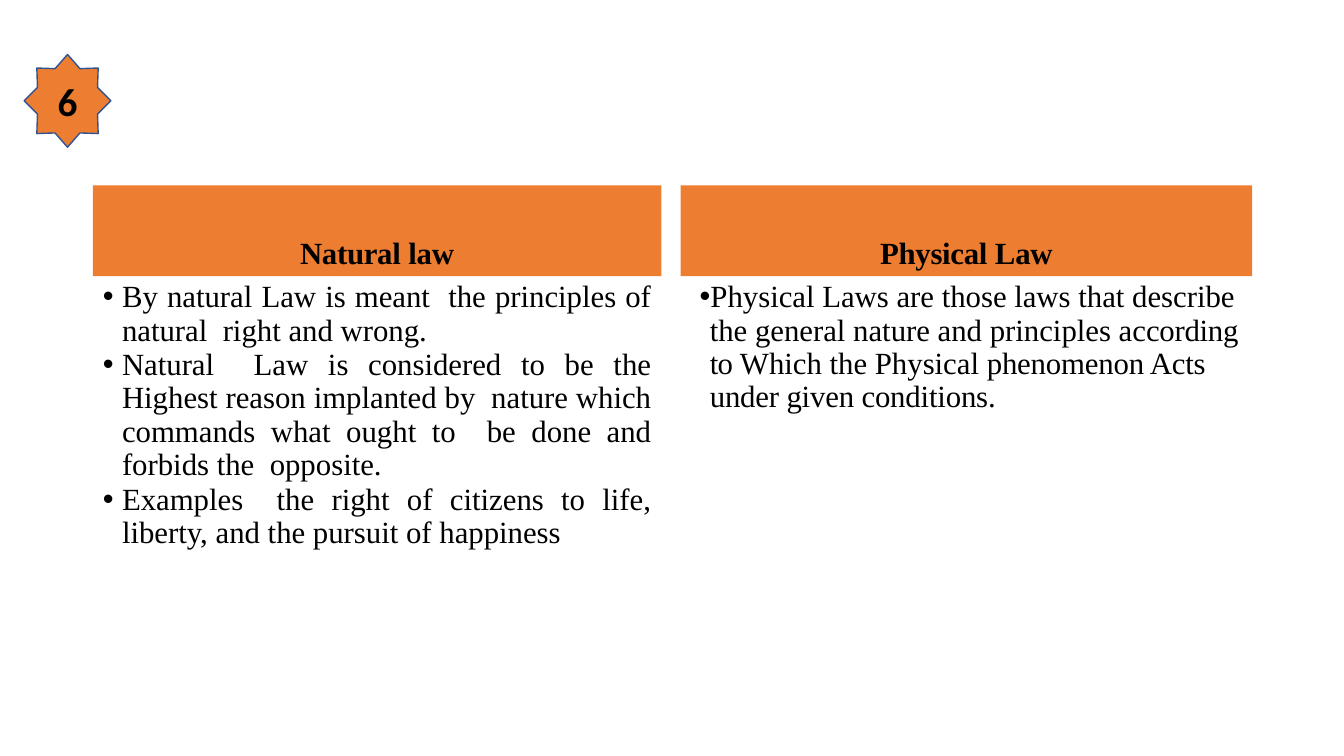
from lxml.etree import SubElement
from pptx import Presentation
from pptx.dml.color import RGBColor
from pptx.enum.shapes import MSO_SHAPE
from pptx.enum.text import MSO_ANCHOR, MSO_AUTO_SIZE, PP_ALIGN
from pptx.oxml.ns import qn
from pptx.util import Inches, Pt

ORANGE, OUTLINE, BLACK, GREY = "ED7D31", "325491", "000000", "202124"
SERIF = {"name": "Times New Roman", "size": Pt(22), "bold": False}
HEADING = {**SERIF, "bold": True}
SMALL = {"name": "Arial", "size": Pt(16), "bold": False}
BADGE = {"name": "Calibri", "size": Pt(28), "bold": True}

# Each span is (text, letter spacing in points, font, colour)
NATURAL_HEADING = [("Natural ", -0.2, HEADING, BLACK), ("law", -0.1, HEADING, BLACK)]
NATURAL_POINTS = [
    [("By natural Law is meant  the principles of natural  right and wrong. ",
      0, SERIF, BLACK)],
    [("Natural  Law is considered to be the Highest reason implanted by  nature "
      "which commands what ought to  be done and forbids the  opposite.",
      0, SERIF, BLACK)],
    [("Examples ", 0, SERIF, BLACK), (" ", 0, SMALL, GREY),
     ("the right of citizens to life, liberty, and the pursuit of happiness",
      0, SERIF, BLACK)],
]
PHYSICAL_HEADING = [("Physical ", -0.2, HEADING, BLACK), ("Law", -0.1, HEADING, BLACK)]
PHYSICAL_POINTS = [
    [("Physical Laws are those laws that describe the general nature and "
      "principles ac", 0, SERIF, BLACK),
     ("cording ", -0.2, SERIF, BLACK),
     ("to ", -0.5, SERIF, BLACK),
     ("Which the Physical ", 0, SERIF, BLACK),
     ("phenomenon Acts under given conditions.", -0.1, SERIF, BLACK)],
]


def color(value):
    return RGBColor.from_string(value)


def place(shape, left, top, width, height):
    for name, value in {"left": left, "top": top,
                        "width": width, "height": height}.items():
        setattr(shape, name, Inches(value))


def paint(shape, value):
    shape.fill.solid()
    shape.fill.fore_color.rgb = color(value)


def write_spans(para, spans):
    for text, spacing, font, value in spans:
        span = para.add_run()
        span.text = text
        for name, setting in font.items():
            setattr(span.font, name, setting)
        span.font.color.rgb = color(value)
        if spacing:
            span.font._element.set("spc", str(round(spacing * 100)))


def set_frame(box, anchor):
    frame = box.text_frame
    settings = {"word_wrap": True, "auto_size": MSO_AUTO_SIZE.NONE,
                "vertical_anchor": anchor,
                "margin_left": Inches(0.1), "margin_right": Inches(0.1),
                "margin_top": Inches(0.05), "margin_bottom": Inches(0.05)}
    for name, value in settings.items():
        setattr(frame, name, value)
    return frame


def set_paragraph(para, align, before):
    for name, value in {"alignment": align, "line_spacing": 0.9,
                        "space_before": Pt(before), "space_after": Pt(0)}.items():
        setattr(para, name, value)


def set_bullet(para, margin, hanging):
    properties = para._p.get_or_add_pPr()
    properties.set("marL", str(Inches(margin)))
    properties.set("indent", str(-Inches(hanging)))
    SubElement(properties, qn("a:buFont"), typeface="Arial")
    SubElement(properties, qn("a:buChar"), char="•")


# One column: orange heading with its bullet list below
def build_column(heading, body, box, title, points, align, hanging):
    left, top, width, height = box
    heading_height = 0.9
    place(heading, left, top, width, heading_height)
    paint(heading, ORANGE)
    para = set_frame(heading, MSO_ANCHOR.BOTTOM).paragraphs[0]
    set_paragraph(para, PP_ALIGN.CENTER, 10)
    write_spans(para, title)

    place(body, left, top + heading_height, width, height - heading_height)
    frame = set_frame(body, MSO_ANCHOR.TOP)
    for index, spans in enumerate(points):
        para = frame.add_paragraph() if index else frame.paragraphs[0]
        set_paragraph(para, align, 1)
        set_bullet(para, 0.19, hanging)
        write_spans(para, spans)


# Numbered star
def build_badge(page, box, number):
    star = page.shapes.add_shape(MSO_SHAPE.STAR_8_POINT, *map(Inches, box))
    star.shadow.inherit = False
    paint(star, ORANGE)
    star.line.color.rgb = color(OUTLINE)
    star.line.width = Pt(1)
    para = set_frame(star, MSO_ANCHOR.MIDDLE).paragraphs[0]
    para.alignment = PP_ALIGN.CENTER
    write_spans(para, [(number, 0, BADGE, BLACK)])


def main():
    deck = Presentation()
    deck.slide_width, deck.slide_height = Inches(13.33), Inches(7.5)
    page = deck.slides.add_slide(deck.slide_layouts[4])
    title, *slots = page.placeholders
    title._element.getparent().remove(title._element)

    build_column(*slots[:2], (0.92, 1.84, 5.64, 4.93), NATURAL_HEADING,
                 NATURAL_POINTS, PP_ALIGN.JUSTIFY, 0.19)
    build_column(*slots[2:], (6.75, 1.84, 5.67, 4.93), PHYSICAL_HEADING,
                 PHYSICAL_POINTS, PP_ALIGN.LEFT, 0.1)
    build_badge(page, (0.24, 0.54, 0.86, 0.92), "6")
    deck.save("out.pptx")


if __name__ == "__main__":
    main()
